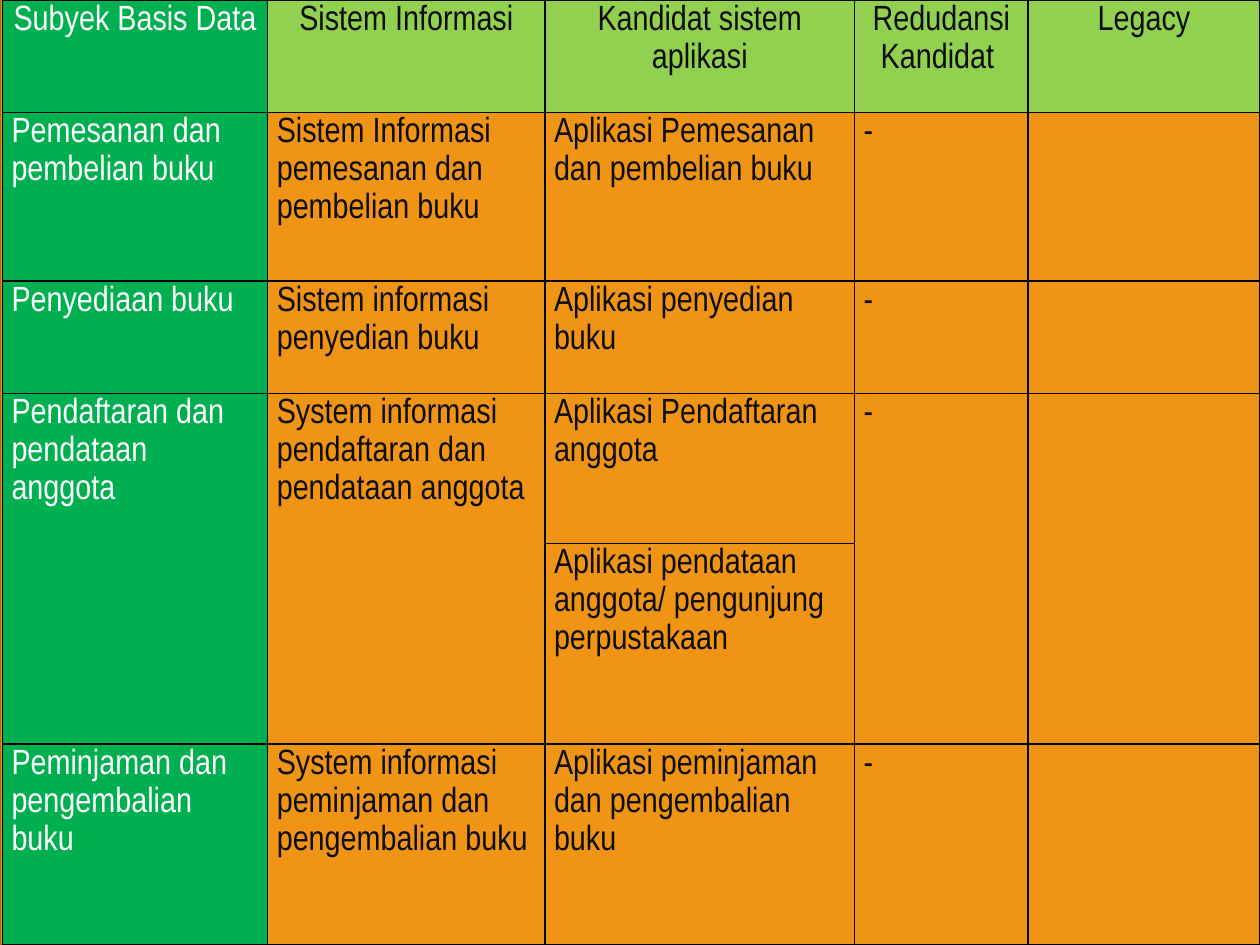
from dataclasses import dataclass

from lxml.etree import SubElement
from pptx import Presentation
from pptx.dml.color import RGBColor
from pptx.enum.shapes import MSO_SHAPE
from pptx.enum.text import PP_ALIGN
from pptx.oxml.ns import qn
from pptx.util import Pt


@dataclass(frozen=True)
class Theme:
    font: str = "Arial Narrow"
    text_size: float = 20
    line_spacing: float = 1.15
    border_width: float = 1
    border: str = "000000"
    backdrop: str = "F09415"
    backdrop_edge: str = "B26D10"
    subject: str = "00B050"
    heading: str = "92D050"
    light_text: str = "FFFFFF"
    dark_text: str = "0D0D0D"


THEME = Theme()
SLIDE_WIDTH, SLIDE_HEIGHT = 720, 540
TABLE_LEFT = 1.4
COLUMN_WIDTHS = [151.6, 158.4, 177, 99.2, 132.4]
ROW_HEIGHTS = [64.2, 96.4, 64.2, 85.8, 114.7, 114.7]
CELL_MARGIN = 5.2

HEADINGS = ["Subyek Basis Data", "Sistem Informasi", "Kandidat sistem aplikasi",
            "Redudansi Kandidat ", "Legacy"]
SYSTEMS = [
    ["Pemesanan dan pembelian buku", "Sistem Informasi pemesanan dan pembelian buku",
     "Aplikasi Pemesanan dan pembelian buku", "-", ""],
    ["Penyediaan buku", "Sistem informasi penyedian buku",
     "Aplikasi penyedian buku", "-", ""],
    ["Pendaftaran dan pendataan anggota",
     "System informasi pendaftaran dan pendataan anggota",
     "Aplikasi Pendaftaran anggota", "-", ""],
    ["", "", "Aplikasi pendataan anggota/ pengunjung perpustakaan", "", ""],
    ["Peminjaman dan pengembalian buku",
     "System informasi peminjaman dan pengembalian buku",
     "Aplikasi peminjaman dan pengembalian buku", "-", ""],
]
MEMBER_ROWS = (3, 4)
CANDIDATE_COLUMN = 2


def rgb(value):
    return RGBColor.from_string(value)


def add_backdrop(slide):
    backdrop = slide.shapes.add_shape(
        MSO_SHAPE.RECTANGLE, 0, 0, Pt(SLIDE_WIDTH), Pt(SLIDE_HEIGHT))
    backdrop.shadow.inherit = False
    backdrop.fill.solid()
    backdrop.fill.fore_color.rgb = rgb(THEME.backdrop)
    backdrop.line.color.rgb = rgb(THEME.backdrop_edge)
    backdrop.line.width = Pt(THEME.border_width)


def set_borders(cell):
    """Outline the cell; call before filling, as the schema puts lines first."""
    properties = cell._tc.get_or_add_tcPr()
    for side in ("a:lnL", "a:lnR", "a:lnT", "a:lnB"):
        line = SubElement(properties, qn(side), w=str(Pt(THEME.border_width)))
        fill = SubElement(line, qn("a:solidFill"))
        SubElement(fill, qn("a:srgbClr"), val=THEME.border)


def set_fill(cell, color):
    if color is None:
        cell.fill.background()
    else:
        cell.fill.solid()
        cell.fill.fore_color.rgb = rgb(color)


def write_cell(cell, text, color, alignment):
    cell.margin_left = cell.margin_right = Pt(CELL_MARGIN)
    cell.margin_top = cell.margin_bottom = 0
    cell.text = text
    paragraph = cell.text_frame.paragraphs[0]
    paragraph.alignment = alignment
    paragraph.line_spacing = THEME.line_spacing
    paragraph.font.name = THEME.font
    paragraph.font.size = Pt(THEME.text_size)
    paragraph.font.bold = False
    paragraph.font.color.rgb = rgb(color)


def add_systems_table(slide):
    rows = [HEADINGS] + SYSTEMS
    table = slide.shapes.add_table(
        len(rows), len(HEADINGS), Pt(TABLE_LEFT), 0,
        Pt(sum(COLUMN_WIDTHS)), Pt(sum(ROW_HEIGHTS))).table
    table.first_row = table.horz_banding = False
    for column, width in zip(table.columns, COLUMN_WIDTHS):
        column.width = Pt(width)
    for row, height in zip(table.rows, ROW_HEIGHTS):
        row.height = Pt(height)

    for r, texts in enumerate(rows):
        for c, text in enumerate(texts):
            cell = table.cell(r, c)
            is_subject, is_heading = c == 0, r == 0
            set_borders(cell)
            set_fill(cell, THEME.subject if is_subject
                     else THEME.heading if is_heading else None)
            write_cell(cell, text,
                       THEME.light_text if is_subject else THEME.dark_text,
                       PP_ALIGN.CENTER if is_heading else PP_ALIGN.LEFT)

    first, last = MEMBER_ROWS
    for c in range(len(HEADINGS)):
        if c != CANDIDATE_COLUMN:
            table.cell(first, c).merge(table.cell(last, c))


def main():
    presentation = Presentation()
    presentation.slide_width = Pt(SLIDE_WIDTH)
    presentation.slide_height = Pt(SLIDE_HEIGHT)
    slide = presentation.slides.add_slide(presentation.slide_layouts[6])
    add_backdrop(slide)
    add_systems_table(slide)
    presentation.save("out.pptx")


if __name__ == "__main__":
    main()
